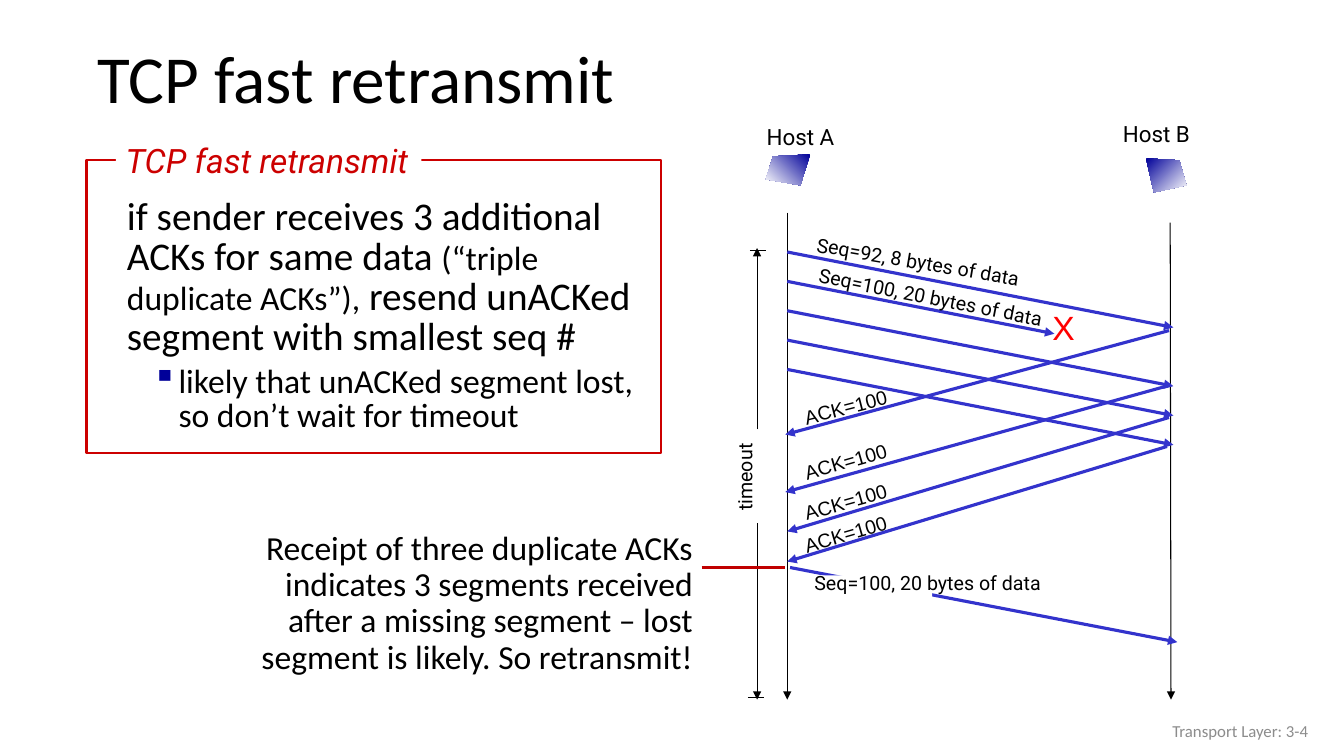
from dataclasses import dataclass

from lxml import etree
from pptx import Presentation
from pptx import util as u
from pptx.dml.color import RGBColor
from pptx.enum import shapes, text
from pptx.oxml import ns

BLACK, WHITE, ARROW_BLUE, NAVY = "000000", "FFFFFF", "3333CC", "000099"
RED, NOTE_RED, LOSS_RED, GREY = "CC0000", "C00000", "FF0000", "8C8C8C"
LEFT, CENTER, RIGHT = text.PP_ALIGN.LEFT, text.PP_ALIGN.CENTER, text.PP_ALIGN.RIGHT
TOP, MIDDLE = text.MSO_ANCHOR.TOP, text.MSO_ANCHOR.MIDDLE


@dataclass
class Line:
    """A straight line; positions in centimetres."""
    x1: float
    y1: float
    x2: float
    y2: float
    color: str = BLACK
    width: float = 0.75
    arrow: bool = True


@dataclass
class Label:
    """A one-paragraph text box; positions in centimetres."""
    words: str
    left: float
    top: float
    width: float
    height: float
    size: int = 14
    font: str = "Roboto"
    color: str = BLACK
    align: text.PP_ALIGN = CENTER
    anchor: text.MSO_ANCHOR = TOP
    rotation: float = 0
    wrap: bool = False
    spacing: float = 1.0


@dataclass
class Host:
    corners: list[tuple[float, float]]
    gradient_angle: float


def rgb(color: str) -> RGBColor:
    return RGBColor.from_string(color)


def add_xml(parent, tag: str, **attributes: str):
    return etree.SubElement(parent, ns.qn(tag), attributes)


def style_run(run, size: float, font: str, color: str) -> None:
    run.font.size = u.Pt(size)
    run.font.name = font
    run.font.color.rgb = rgb(color)


def draw_line(slide, line: Line) -> None:
    connector = slide.shapes.add_connector(
        shapes.MSO_CONNECTOR.STRAIGHT,
        u.Cm(line.x1), u.Cm(line.y1), u.Cm(line.x2), u.Cm(line.y2))
    connector.line.color.rgb = rgb(line.color)
    connector.line.width = u.Pt(line.width)
    if line.arrow:
        add_xml(connector.line._get_or_add_ln(), "a:tailEnd", type="triangle")
    add_xml(connector._element.spPr, "a:effectLst")


def draw_label(slide, label: Label):
    box = slide.shapes.add_textbox(
        u.Cm(label.left), u.Cm(label.top), u.Cm(label.width), u.Cm(label.height))
    box.rotation = label.rotation
    frame = box.text_frame
    frame.text = label.words
    frame.word_wrap = label.wrap
    frame.vertical_anchor = label.anchor
    paragraph = frame.paragraphs[0]
    paragraph.alignment = label.align
    paragraph.line_spacing = label.spacing
    style_run(paragraph.runs[0], label.size, label.font, label.color)
    return box


def draw_rectangle(slide, left: float, top: float, width: float, height: float,
                   fill: str | None = None, border: str | None = None):
    rectangle = slide.shapes.add_shape(
        shapes.MSO_SHAPE.RECTANGLE, u.Cm(left), u.Cm(top), u.Cm(width), u.Cm(height))
    rectangle.shadow.inherit = False
    if fill:
        rectangle.fill.solid()
        rectangle.fill.fore_color.rgb = rgb(fill)
    else:
        rectangle.fill.background()
    if border:
        rectangle.line.color.rgb = rgb(border)
        rectangle.line.width = u.Pt(1.5)
    else:
        rectangle.line.fill.background()
    return rectangle


def draw_host(slide, host: Host) -> None:
    points = [(u.Cm(x), u.Cm(y)) for x, y in host.corners]
    builder = slide.shapes.build_freeform(*points[0], scale=1.0)
    builder.add_line_segments(points[1:], close=True)
    screen = builder.convert_to_shape()
    screen.shadow.inherit = False
    screen.line.fill.background()
    screen.fill.gradient()
    screen.fill.gradient_angle = host.gradient_angle
    for stop, color, position in zip(screen.fill.gradient_stops, (NAVY, WHITE), (0, 1)):
        stop.color.rgb = rgb(color)
        stop.position = position


def draw_definition(slide) -> None:
    """The framed rule with its bullet and its heading on the frame."""
    rule = draw_rectangle(slide, 2.95, 4.88, 13.36, 6.3, fill=WHITE).text_frame
    rule.word_wrap = True
    rule.vertical_anchor = TOP
    condition, reason = rule.paragraphs[0], rule.add_paragraph()
    for words, size in (("if sender receives 3 additional ACKs for same data ", 28),
                        ("(“triple duplicate ACKs”),", 24),
                        (" resend unACKed segment with smallest seq #", 28)):
        run = condition.add_run()
        run.text = words
        style_run(run, size, "Calibri", BLACK)
    reason.text = "likely that unACKed segment lost, so don’t wait for timeout"
    reason.level = 1
    properties = reason._p.get_or_add_pPr()
    properties.set("marL", str(u.Cm(1.3)))
    properties.set("indent", str(u.Cm(-0.66)))
    add_xml(add_xml(properties, "a:buClr"), "a:srgbClr", val=NAVY)
    add_xml(properties, "a:buChar", char="▪")
    style_run(reason.runs[0], 24, "Calibri", BLACK)
    reason.space_before = u.Pt(5)
    for paragraph in (condition, reason):
        paragraph.alignment = LEFT
        paragraph.line_spacing = 0.85

    draw_rectangle(slide, 2.18, 4.04, 14.48, 7.37, border=RED)
    draw_rectangle(slide, 2.92, 3.4, 7.7, 1.27, fill=WHITE)
    heading = draw_label(slide, Label("TCP fast retransmit", 2.92, 3.4, 7.7, 1.27, 24,
                                      color=RED, align=LEFT, wrap=True))
    heading.text_frame.paragraphs[0].runs[0].font.italic = True


def draw_timeline(slide) -> None:
    for axis in (Line(19.84, 5.36, 19.84, 17.63), Line(29.49, 5.61, 29.51, 17.63)):
        draw_line(slide, axis)
    draw_label(slide, Label("Host B", 27.66, 2.9, 2.97, 1.09, 16))
    draw_label(slide, Label("Host A", 18.69, 2.97, 2.97, 1.09, 16))
    draw_host(slide, Host([(20.42, 3.89), (19.48, 3.94), (19.3, 4.52), (20.17, 4.67)], 225))
    draw_host(slide, Host([(28.88, 3.99), (29.72, 4.04), (29.9, 4.67), (29.08, 4.85)], 315))

    timeout = draw_label(slide, Label("timeout", 18.34, 10.92, 1.52, 2.21))
    timeout.text_frame._txBody.bodyPr.set("vert", "vert270")
    for part in (Line(19.08, 10.82, 19.08, 6.25), Line(18.9, 6.3, 19.3, 6.3, arrow=False),
                 Line(19.08, 13.18, 19.08, 17.63),
                 Line(18.85, 17.58, 19.25, 17.58, arrow=False)):
        draw_line(slide, part)


def draw_messages(slide) -> None:
    acks = [(29.46, 8.33, 19.79, 10.95, 9.83, -14.4), (29.51, 9.7, 19.79, 12.4, 11.2, -16.1),
            (29.46, 10.52, 19.84, 13.39, 12.22, -15.7),
            (29.41, 11.25, 19.84, 14.15, 13.03, -16.2)]
    for *ends, label_top, tilt in acks:
        draw_line(slide, Line(*ends, ARROW_BLUE, 2.25))
        draw_label(slide, Label("ACK=100", 19.5, label_top, 3.66, 0.99,
                                font="Arial", rotation=tilt))

    lost_segment = 1
    for segment in range(5):
        start = 6.35 + 0.74 * segment
        run, drop = (6.73, 1.32) if segment == lost_segment else (9.73, 1.9)
        draw_line(slide, Line(19.84, start, 19.84 + run, start + drop, ARROW_BLUE, 2.25))
    draw_label(slide, Label("X", 26.26, 7.62, 1.09, 1.47, 24, "Arial", LOSS_RED))
    draw_label(slide, Label("Seq=92, 8 bytes of data", 20.19, 6.17, 5.89, 0.86, rotation=9.7))
    draw_label(slide, Label("Seq=100, 20 bytes of data", 20.24, 7.06, 6.43, 0.86,
                            rotation=11.1))

    draw_line(slide, Line(19.91, 14.3, 29.67, 16.18, ARROW_BLUE, 2.25))
    draw_rectangle(slide, 20.57, 14.5, 2.92, 0.74, fill=WHITE)
    draw_label(slide, Label("Seq=100, 20 bytes of data", 19, 14.25, 8.76, 0.99))


def main() -> None:
    deck = Presentation()
    deck.slide_width, deck.slide_height = u.Cm(33.87), u.Cm(19.05)
    slide = deck.slides.add_slide(deck.slide_layouts[6])
    draw_label(slide, Label("TCP fast retransmit", 2.21, 0.81, 31.65, 2.49, 48, "Calibri",
                            align=LEFT, anchor=MIDDLE, wrap=True, spacing=0.9))
    draw_timeline(slide)
    draw_messages(slide)
    draw_label(slide, Label(
        "Receipt of three duplicate ACKs indicates 3 segments received after a missing "
        "segment – lost segment is likely. So retransmit!",
        6.2, 13.26, 11.51, 3.96, 24, "Calibri", align=RIGHT, wrap=True, spacing=0.9))
    draw_line(slide, Line(17.68, 14.3, 19.79, 14.3, NOTE_RED, 1.75, arrow=False))
    draw_definition(slide)
    draw_label(slide, Label("Transport Layer: 3-4", 25.6, 17.91, 7.62, 1.02, 12, "Calibri",
                            GREY, RIGHT, MIDDLE, wrap=True))
    deck.save("out.pptx")


if __name__ == "__main__":
    main()
